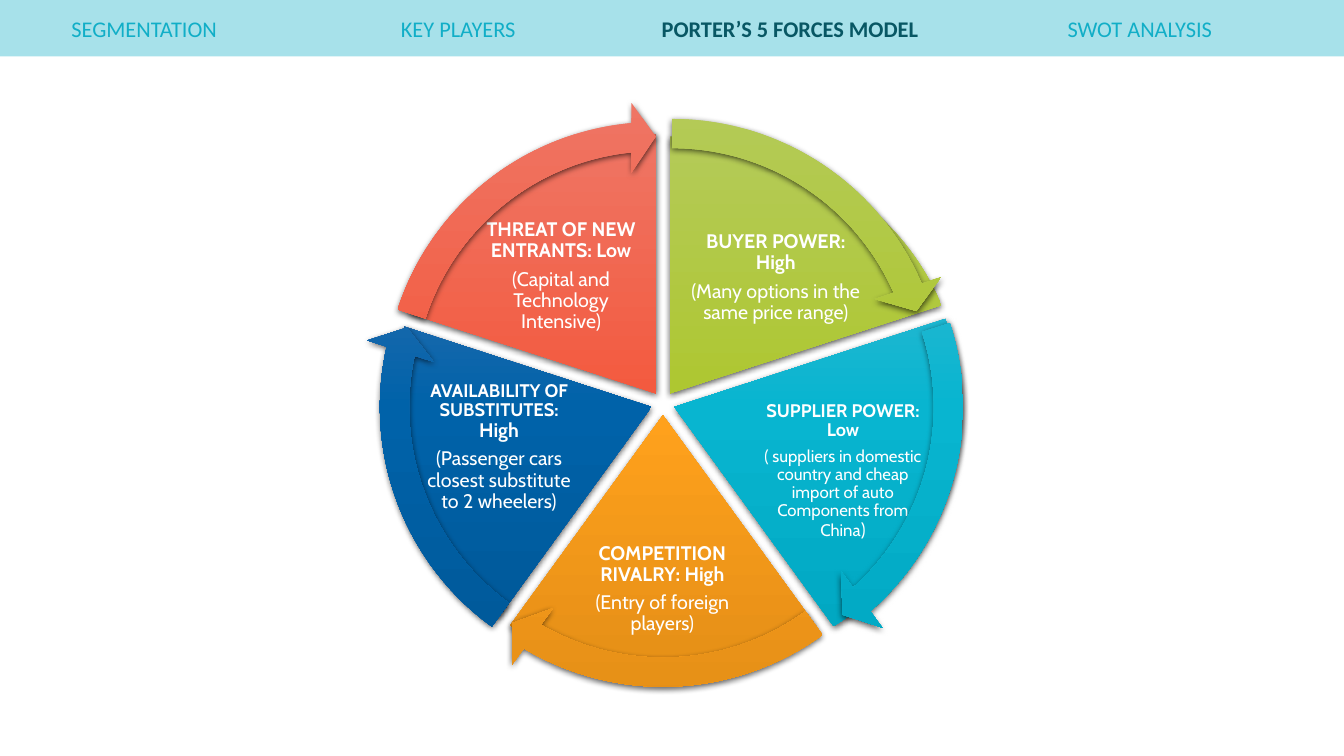
from dataclasses import dataclass
from math import cos, radians, sin

from lxml import etree
from pptx import Presentation
from pptx.dml.color import RGBColor
from pptx.enum.shapes import MSO_SHAPE as Preset
from pptx.enum.text import MSO_ANCHOR as Anchor, MSO_AUTO_SIZE as AutoSize, PP_ALIGN as Align
from pptx.oxml import parse_xml
from pptx.oxml.ns import nsdecls, qn
from pptx.util import Inches, Pt

COLORS = {
    "teal": "11AEC7", "dark_teal": "085764", "white": "FFFFFF",
    "green": ("B4CA58", "AEC731", "9EB726"),
    "cyan": ("4CB9D1", "08B5D0", "00A6C0"),
    "orange": ("F9A952", "FFA11C", "E58F17"),
    "blue": ("4B76B3", "0062A9", "005796"),
    "red": ("EF7564", "F35A3F", "E24A2E"),
}
SECTOR = 72
ANGLE_UNIT = 0.6
HEAD_ANGLE = 3.28
PUSH = 0.12
ARROW_SIZE = 5.79


@dataclass
class Force:
    """One sector; text_box is measured from the hub."""
    color: str
    heading: list
    reason: list
    text_box: tuple
    pie_size: tuple = (5.15, 5.15)
    arrow_shift: tuple = (0, 0)


TABS = [
    ("SEGMENTATION", 0.59, 1.68),
    ("KEY PLAYERS", 2.86, 3.37),
    ("PORTER’S 5 FORCES MODEL", 6.4, 2.87),
    ("SWOT ANALYSIS", 9.93, 2.75),
]
CURRENT_TAB = TABS[2][0]
FORCES = [
    Force("green", [("BUYER POWER: High", 14)],
          [("(Many options in the same price range)", 14)],
          (0.2, -1.79, 1.84, 1.09), (5.73, 5.1), (0.02, -0.03)),
    Force("cyan", [("SUPPLIER POWER: Low", 13)],
          [("( suppliers in domestic country and cheap import of auto Components from China", 12),
           (")", 13)],
          (0.94, 0.03, 1.69, 1.24), (5.7, 5.22), (0.17, 0)),
    Force("orange", [("COMPETITION RIVALRY: High", 14)],
          [("(Entry of foreign players)", 14)], (-0.74, 1.17, 1.47, 1.35)),
    Force("blue", [("AVAILABILITY OF SUBSTITUTES: ", 13), ("High", 14)],
          [("(Passenger cars closest substitute to 2 wheelers)", 14)],
          (-2.39, -0.18, 1.53, 1.23)),
    Force("red", [("THREAT OF NEW ENTRANTS: Low", 14)],
          [("(Capital and Technology Intensive)", 14)], (-1.84, -1.81, 1.66, 1.1)),
]
FORCES[1].text_box = (0.94, 0.05, 1.69, 1.24)


def style_font(font, name, color, bold):
    """Set the face, colour and weight of a font."""
    font.name, font.bold = name, bold
    font.color.rgb = RGBColor.from_string(COLORS[color])


def add_tabs(slide, left, top, width, height):
    """Draw the navigation band; the current tab is the slide title."""
    band = slide.shapes.add_shape(Preset.RECTANGLE, *map(Inches, (left, top, width, height)))
    band.shadow.inherit = False
    band.line.fill.background()
    band.fill.solid()
    band.fill.fore_color.rgb = RGBColor.from_string(COLORS["teal"])
    tint = band._element.spPr.find(".//" + qn("a:srgbClr"))
    etree.SubElement(tint, qn("a:alpha"), val="37000")
    for label, offset, tab_width in TABS:
        current = label == CURRENT_TAB
        box = [Inches(n) for n in (left + offset, top + 0.1, tab_width, 0.37)]
        if current:
            tab = slide.shapes.title
            tab.left, tab.top, tab.width, tab.height = box
            slide.shapes._spTree.append(tab._element)
        else:
            tab = slide.shapes.add_textbox(*box)
        frame = tab.text_frame
        frame.text = label
        frame.word_wrap = True
        frame.auto_size = AutoSize.NONE
        frame.vertical_anchor = Anchor.TOP
        paragraph = frame.paragraphs[0]
        paragraph.alignment = Align.CENTER
        paragraph.font.size = Pt(16)
        style_font(paragraph.font, "Calibri", "dark_teal" if current else "teal", current)


def add_sector_shape(slide, preset, center, size, adjustments, color):
    """Add a centred preset with a three-stop gradient and a soft shadow."""
    left, top = (c - s / 2 for c, s in zip(center, size))
    shape = slide.shapes.add_shape(preset, *map(Inches, (left, top, *size)))
    for index, value in enumerate(adjustments):
        shape.adjustments[index] = value
    shape.line.fill.background()
    properties = shape._element.spPr
    stops = "".join(f'<a:gs pos="{pos}"><a:srgbClr val="{stop}"/></a:gs>'
                    for pos, stop in zip((0, 50000, 100000), COLORS[color]))
    properties.find(qn("a:ln")).addprevious(parse_xml(
        f'<a:gradFill {nsdecls("a")}><a:gsLst>{stops}</a:gsLst>'
        '<a:lin ang="5400000" scaled="0"/></a:gradFill>'))
    properties.append(parse_xml(
        f'<a:effectLst {nsdecls("a")}><a:outerShdw blurRad="{Pt(4.5)}" dist="{Pt(1.5)}" '
        'dir="5400000" algn="ctr" rotWithShape="0"><a:srgbClr val="000000">'
        '<a:alpha val="63000"/></a:srgbClr></a:outerShdw></a:effectLst>'))


def add_force_text(slide, left, top, width, height, force):
    """Write a force's bold rating and the reason below it."""
    frame = slide.shapes.add_textbox(*map(Inches, (left, top, width, height))).text_frame
    frame.word_wrap = True
    frame.vertical_anchor = Anchor.MIDDLE
    frame.margin_left = frame.margin_right = Inches(0.02)
    frame.margin_top = frame.margin_bottom = Inches(0.02)
    rating, reason = frame.paragraphs[0], frame.add_paragraph()
    for paragraph, pieces in ((rating, force.heading), (reason, force.reason)):
        paragraph.alignment = Align.CENTER
        paragraph.line_spacing = 0.9
        paragraph.space_after = Pt(5)
        style_font(paragraph.font, "Cabin", "white", paragraph is rating)
        for text, size in pieces:
            run = paragraph.add_run()
            run.text = text
            run.font.size = Pt(size)


def add_wheel(slide, left, top, width, height):
    """Draw the five sectors around the middle of the box, then their arrows."""
    hub = (left + width / 2, top + height / 2)
    arrows = []
    for index, force in enumerate(FORCES):
        start = (270 + SECTOR * index) % 360
        end = (start + SECTOR) % 360
        middle = radians(start + SECTOR / 2)
        center = (hub[0] + PUSH * cos(middle), hub[1] + PUSH * sin(middle))
        first, last = start * ANGLE_UNIT, end * ANGLE_UNIT
        add_sector_shape(slide, Preset.PIE, center, force.pie_size, (first, last), force.color)
        dx, dy, text_width, text_height = force.text_box
        add_force_text(slide, hub[0] + dx, hub[1] + dy, text_width, text_height, force)
        arrow_center = [c + shift for c, shift in zip(center, force.arrow_shift)]
        arrows.append((arrow_center, (ARROW_SIZE, ARROW_SIZE),
                       (0.05, HEAD_ANGLE, last - HEAD_ANGLE, first, 0.06), force.color))
    for arrow in arrows:
        add_sector_shape(slide, Preset.CIRCULAR_ARROW, *arrow)


def build():
    """Build the Porter's five forces slide."""
    deck = Presentation()
    deck.slide_width, deck.slide_height = Inches(13.33), Inches(7.5)
    slide = deck.slides.add_slide(deck.slide_layouts[5])
    add_tabs(slide, 0, 0, 13.33, 0.56)
    add_wheel(slide, 3.57, 1, 6.01, 6)
    deck.save("out.pptx")


build()
